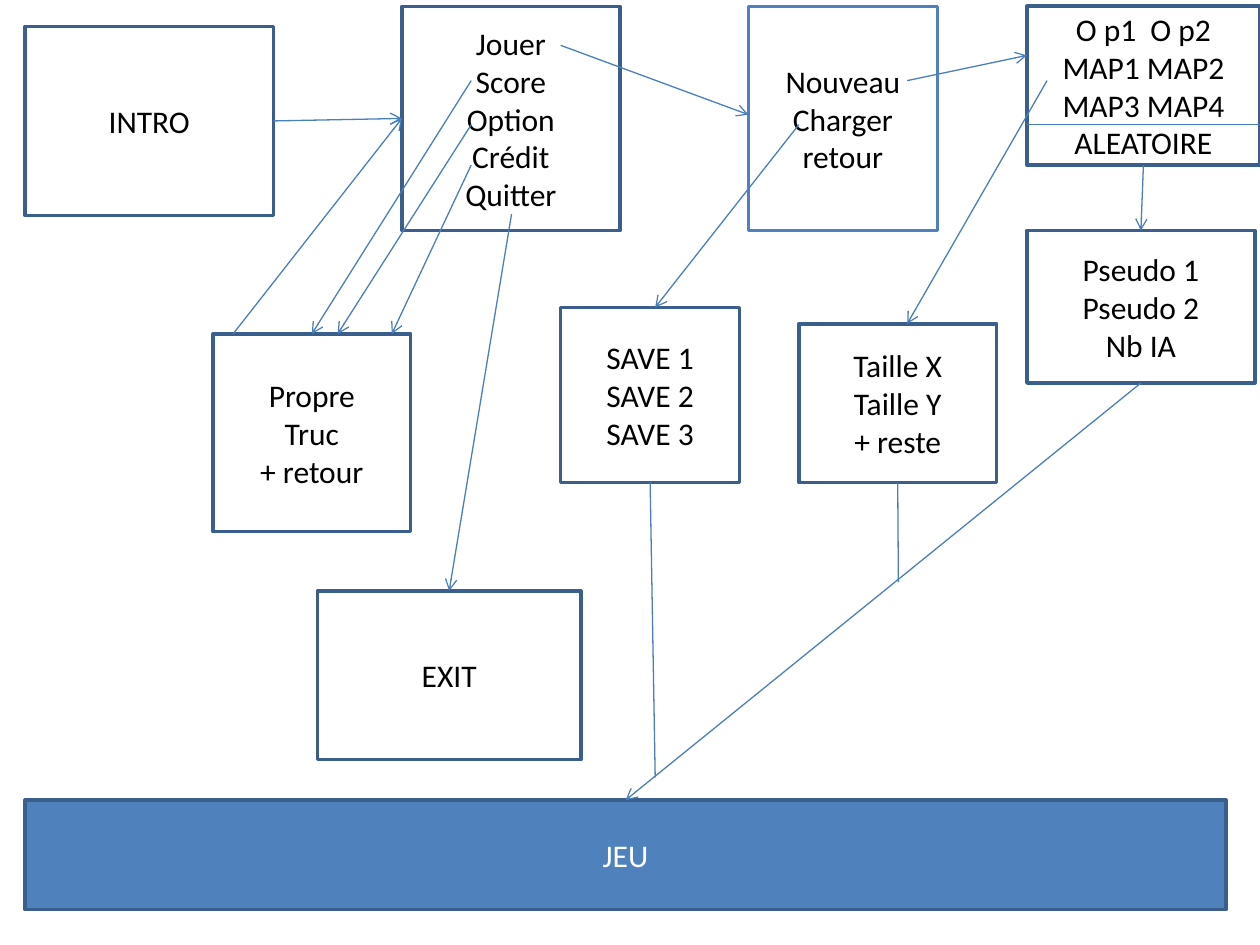
from dataclasses import dataclass
from typing import Optional, Union

import pptx
import pptx.dml.color
import pptx.enum.shapes
import pptx.enum.text
import pptx.oxml
import pptx.oxml.ns
import pptx.util

Inches = pptx.util.Inches
Pt = pptx.util.Pt
RGBColor = pptx.dml.color.RGBColor

WHITE = RGBColor(0xFF, 0xFF, 0xFF)
BLACK = RGBColor(0x00, 0x00, 0x00)
BLUE = RGBColor(0x4F, 0x81, 0xBD)
DARK_BLUE = RGBColor(0x3A, 0x5F, 0x8C)
LINK_BLUE = RGBColor(0x4B, 0x7E, 0xBC)

TOP, LEFT, BOTTOM, RIGHT = range(4)


@dataclass
class Screen:
    name: str
    left: float
    top: float
    width: float
    height: float
    lines: list[str]
    fill: RGBColor = WHITE
    border: RGBColor = DARK_BLUE
    text: RGBColor = BLACK


@dataclass
class Joint:
    """The middle of one side of a screen."""
    screen: str
    side: int


@dataclass
class Point:
    x: float
    y: float


End = Union[Joint, Point]


@dataclass
class Link:
    start: End
    end: End
    arrow: bool = True


SCREENS = [
    Screen("intro", 0.2, 0.21, 1.97, 1.5, ["INTRO"]),
    Screen("menu", 3.19, 0.05, 1.73, 1.78,
           ["Jouer", "Score", "Option", "Crédit", "Quitter"]),
    Screen("play", 5.94, 0.05, 1.5, 1.78,
           ["Nouveau", "Charger", "retour"], border=BLUE),
    Screen("maps", 8.15, 0.05, 1.85, 1.26,
           ["O p1  O p2", "MAP1 MAP2 MAP3 MAP4", "ALEATOIRE"]),
    Screen("players", 8.15, 1.83, 1.81, 1.21,
           ["Pseudo 1", "Pseudo 2", "Nb IA"]),
    Screen("game", 0.2, 6.35, 9.53, 0.87, ["JEU"], fill=BLUE, text=WHITE),
    Screen("size", 6.34, 2.57, 1.57, 1.26, ["Taille X", "Taille Y", "+ reste"]),
    Screen("saves", 4.45, 2.44, 1.42, 1.39, ["SAVE 1", "SAVE 2", "SAVE 3"]),
    Screen("submenu", 1.69, 2.65, 1.57, 1.57, ["Propre", "Truc", "+ retour"]),
    Screen("exit", 2.52, 4.69, 2.09, 1.34, ["EXIT"]),
]

LINKS = [
    Link(Joint("intro", RIGHT), Joint("menu", LEFT)),
    # Menu entries
    Link(Point(4.45, 0.36), Point(5.94, 0.91)),
    Link(Point(3.74, 0.64), Joint("submenu", TOP)),
    Link(Point(3.74, 0.99), Point(2.68, 2.65)),
    Link(Point(3.74, 1.31), Point(3.11, 2.65)),
    Link(Point(1.85, 2.65), Joint("menu", LEFT)),
    Link(Point(4.06, 1.7), Joint("exit", TOP)),
    # New game or saved game
    Link(Point(7.2, 0.64), Point(8.15, 0.44)),
    Link(Point(6.34, 0.99), Point(5.2, 2.44)),
    # Map choice, with the line above its last entry
    Link(Point(8.15, 0.99), Point(10, 0.99), arrow=False),
    Link(Joint("maps", BOTTOM), Joint("players", TOP)),
    Link(Point(8.31, 0.64), Point(7.2, 2.57)),
    # Ways into the game
    Link(Joint("players", BOTTOM), Joint("game", TOP)),
    Link(Joint("size", BOTTOM), Point(7.13, 4.62), arrow=False),
    Link(Joint("saves", BOTTOM), Point(5.2, 6.17), arrow=False),
]


def add_screen(slide, screen: Screen):
    shape = slide.shapes.add_shape(
        pptx.enum.shapes.MSO_SHAPE.RECTANGLE, Inches(screen.left),
        Inches(screen.top), Inches(screen.width), Inches(screen.height))
    shape.shadow.inherit = False
    shape.fill.solid()
    shape.fill.fore_color.rgb = screen.fill
    shape.line.color.rgb = screen.border
    shape.line.width = Pt(2)

    frame = shape.text_frame
    frame.word_wrap = True
    frame.vertical_anchor = pptx.enum.text.MSO_ANCHOR.MIDDLE
    frame.text = "\n".join(screen.lines)
    font_format = {"name": "Calibri", "size": Pt(18)}
    for paragraph in frame.paragraphs:
        paragraph.alignment = pptx.enum.text.PP_ALIGN.CENTER
        font = paragraph.runs[0].font
        for attribute, value in font_format.items():
            setattr(font, attribute, value)
        font.color.rgb = screen.text
    return shape


def loose_position(end: End) -> tuple[int, int]:
    """Where a free end lies; a joined end is placed when it is connected."""
    if isinstance(end, Point):
        return Inches(end.x), Inches(end.y)
    return Inches(0), Inches(0)


def add_link(slide, link: Link, shapes: dict) -> None:
    connector = slide.shapes.add_connector(
        pptx.enum.shapes.MSO_CONNECTOR.STRAIGHT,
        *loose_position(link.start), *loose_position(link.end))
    if isinstance(link.start, Joint):
        connector.begin_connect(shapes[link.start.screen], link.start.side)
    if isinstance(link.end, Joint):
        connector.end_connect(shapes[link.end.screen], link.end.side)
    connector.line.color.rgb = LINK_BLUE
    connector.line.width = Pt(0.75)

    properties = connector.line._get_or_add_ln().getparent()
    namespace = pptx.oxml.ns.nsdecls("a")
    if link.arrow:
        connector.line._get_or_add_ln().append(
            pptx.oxml.parse_xml(f'<a:tailEnd {namespace} type="arrow"/>'))
    properties.append(pptx.oxml.parse_xml(f"<a:effectLst {namespace}/>"))


def main() -> None:
    presentation = pptx.Presentation()
    presentation.slide_width = Inches(10)
    presentation.slide_height = Inches(7.5)
    blank_layout = presentation.slide_layouts[6]
    slide = presentation.slides.add_slide(blank_layout)

    shapes = {screen.name: add_screen(slide, screen) for screen in SCREENS}
    for link in LINKS:
        add_link(slide, link, shapes)

    presentation.save("out.pptx")


if __name__ == "__main__":
    main()
